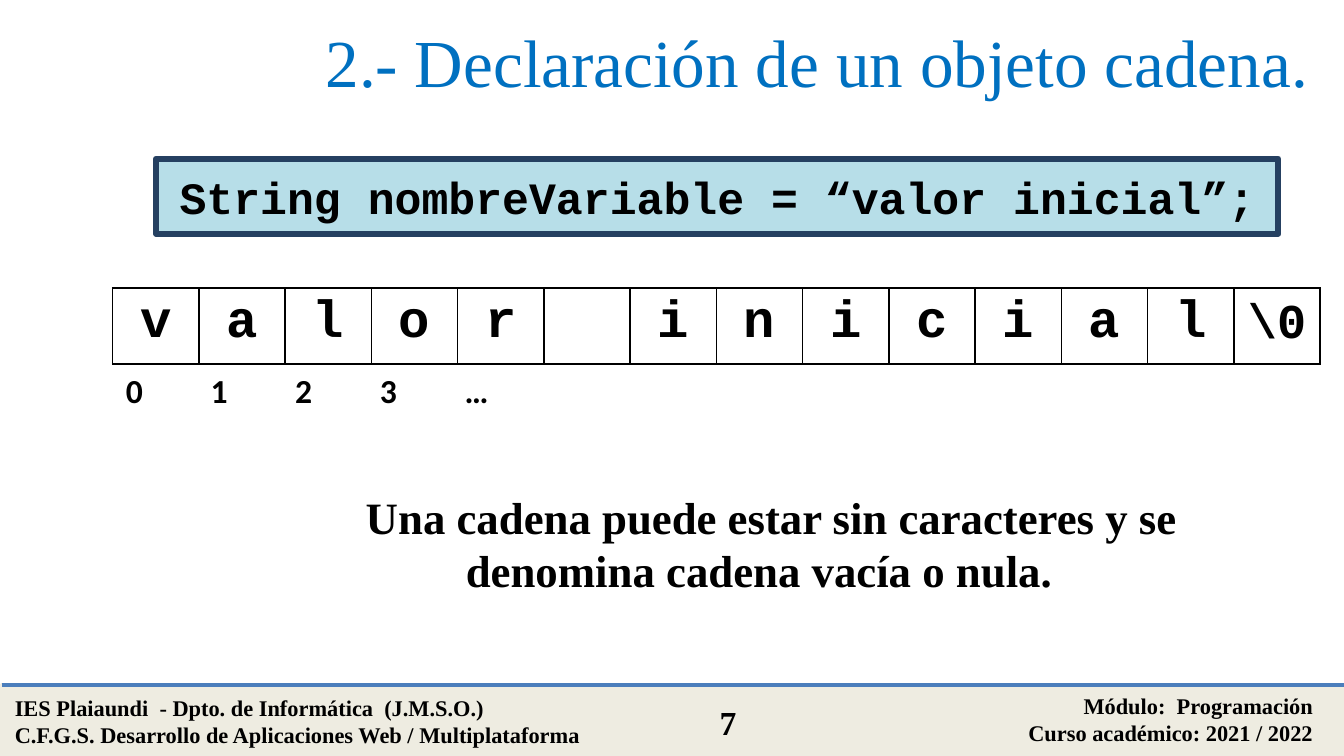
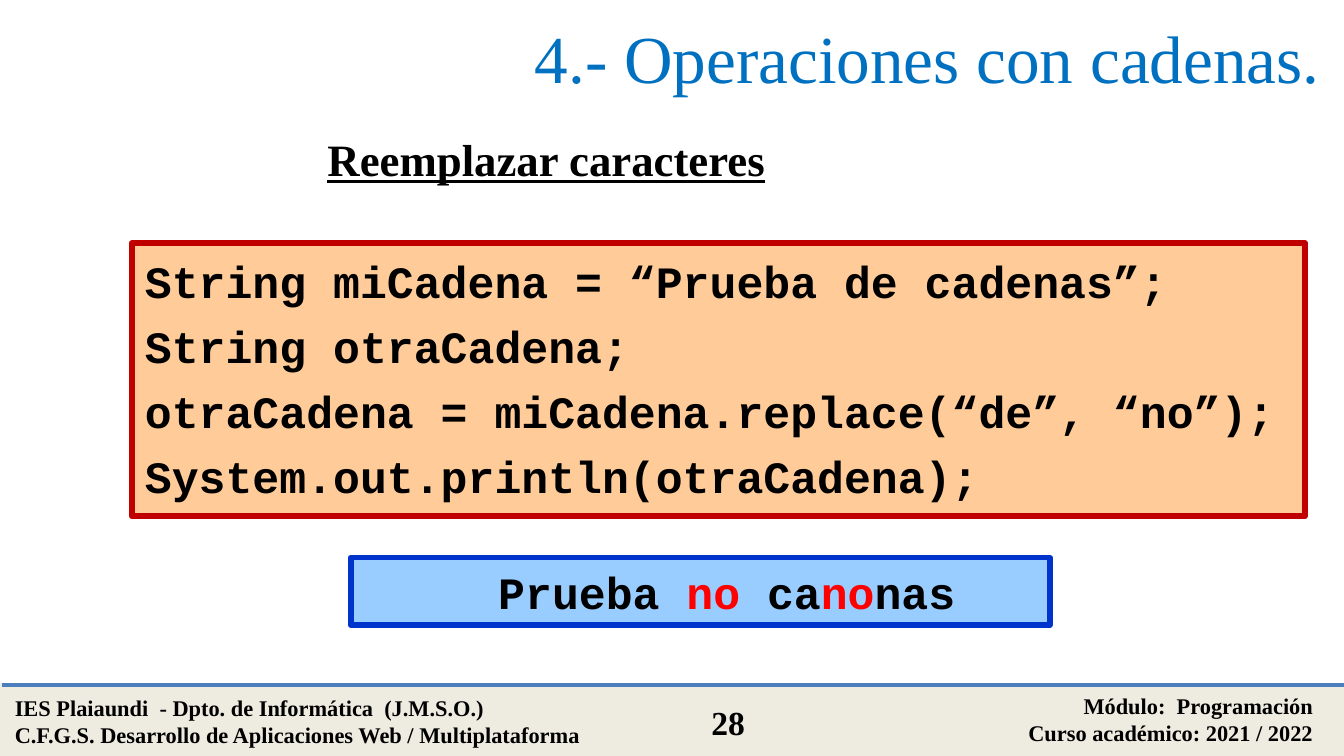
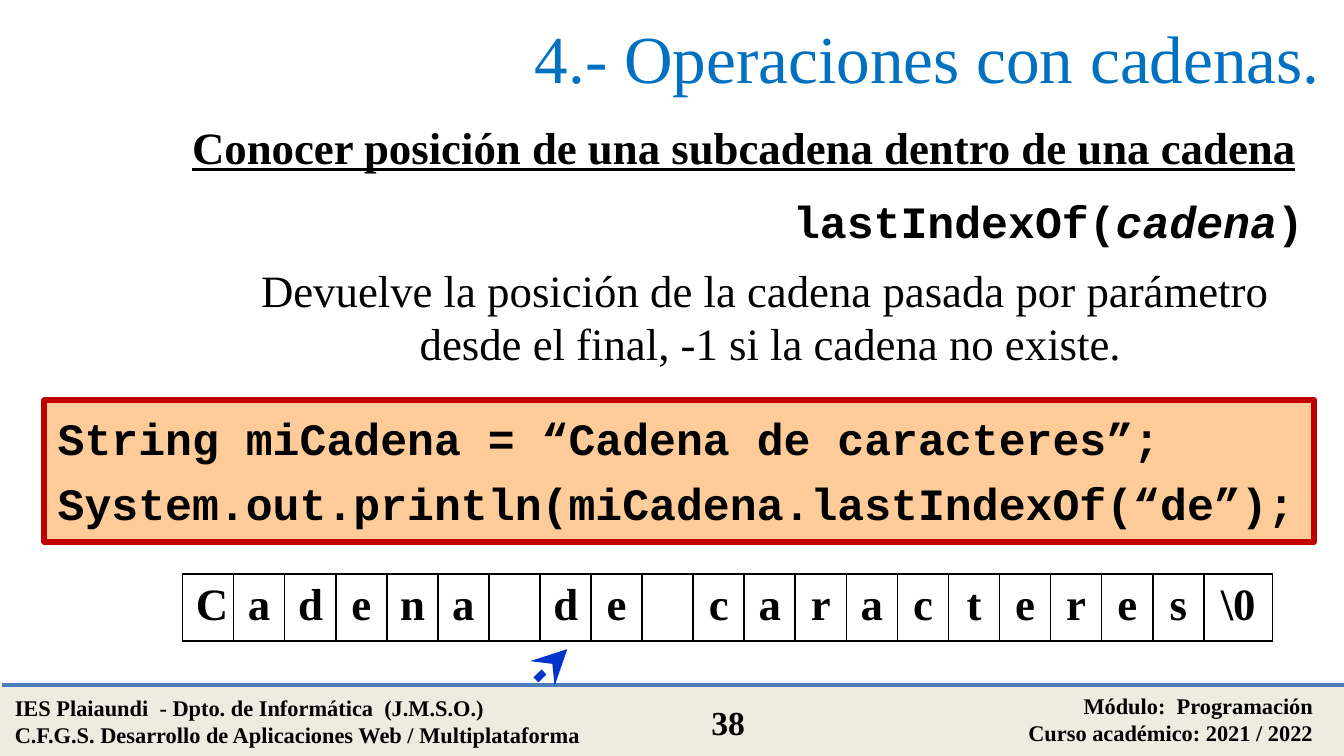
import lxml.etree
import pptx
import pptx.dml.color
import pptx.enum.dml
import pptx.enum.shapes
import pptx.enum.text
import pptx.oxml
import pptx.oxml.ns
import pptx.util

Cm = pptx.util.Cm
Pt = pptx.util.Pt
RGB = pptx.dml.color.RGBColor
ALIGN = pptx.enum.text.PP_ALIGN
ANCHOR = pptx.enum.text.MSO_ANCHOR
RECTANGLE = pptx.enum.shapes.MSO_SHAPE.RECTANGLE
STRAIGHT = pptx.enum.shapes.MSO_CONNECTOR.STRAIGHT

BLACK = RGB(0x00, 0x00, 0x00)
RED = RGB(0xFF, 0x00, 0x00)
TITLE_BLUE = RGB(0x00, 0x70, 0xC0)
BAND_FILL = RGB(0xEE, 0xEC, 0xE1)
BAND_RULE = RGB(0x4B, 0x7E, 0xBC)
ARROW_BLUE = RGB(0x00, 0x33, 0xCC)

# Box styles: fill, line colour, line width in points
SYNTAX_BOX = (RGB(0xB7, 0xDE, 0xE8), RGB(0x25, 0x40, 0x61), 3.25)
CODE_BOX = (RGB(0xFF, 0xCC, 0x99), RGB(0xC0, 0x00, 0x00), 3.25)
OUTPUT_BOX = (RGB(0x99, 0xCC, 0xFF), ARROW_BLUE, 3)

SERIF, MONO, SANS = "Times New Roman", "Courier New", "Calibri"
BODY = dict(size=24, face=SERIF)
HEADING = dict(size=24, face=SERIF, bold=True)
CODE = dict(size=24, face=MONO, bold=True)
FOOTER = dict(size=12, face=SERIF, bold=True)
PAGE = dict(size=18, face=SERIF, bold=True)
INDEX = dict(size=18, face=SANS, bold=True)
TITLE = dict(size=36, face=SERIF, color=TITLE_BLUE)

SLIDE_WIDTH, SLIDE_HEIGHT = 25.4, 14.29
BAND_LEFT, BAND_TOP = 0.03, 12.95

SCHOOL = [
    "IES Plaiaundi  - Dpto. de Informática  (J.M.S.O.)",
    "C.F.G.S. Desarrollo de Aplicaciones Web / Multiplataforma",
]
COURSE = ["Módulo:  Programación", "Curso académico: 2021 / 2022"]

DECLARATION_TITLE = "2.- Declaración de un objeto cadena. "
OPERATIONS_TITLE = "4.- Operaciones con cadenas."

DECLARATION = ["String nombreVariable = “valor inicial”;"]
INITIAL_VALUE = [*"valor inicial", "\\0"]
INDEXES = ["0", "1", "2", "3", "…"]
EMPTY_STRING = ["Una cadena puede estar sin caracteres y se denomina cadena vacía o nula. "]

REPLACE_CODE = [
    "String miCadena = “Prueba de cadenas”;",
    "String otraCadena;",
    "otraCadena = miCadena.replace(“de”, “no”);",
    "System.out.println(otraCadena);",
]
REPLACE_OUTPUT = [[
    ("Prueba ", {}), ("no ", dict(color=RED)), ("ca", {}),
    ("no", dict(color=RED)), ("nas", {}),
]]

SIGNATURE = [[("lastIndexOf(", {}), ("cadena", dict(italic=True)), (")", {})]]
LAST_INDEX = ["Devuelve la posición de la cadena pasada por parámetro  "
              "desde el final, -1 si la cadena no existe."]
LAST_INDEX_CODE = [
    "String miCadena = “Cadena de caracteres”;",
    "System.out.println(miCadena.lastIndexOf(“de”);",
]
SEARCHED = [*"Cadena de caracteres", "\\0"]


def add_run(paragraph, text, size, face, color=BLACK, bold=False,
            italic=False, underline=False):
    run = paragraph.add_run()
    run.text = text
    font = run.font
    font.size, font.name, font.color.rgb = Pt(size), face, color
    font.bold, font.italic, font.underline = bold, italic, underline


def write(frame, paragraphs, style, align=ALIGN.LEFT, anchor=ANCHOR.TOP,
          gap=0, indent=0, inset=0.13):
    """Fill a frame; a paragraph is a string or a list of (text, changes)."""
    frame.word_wrap = True
    frame.vertical_anchor = anchor
    frame.margin_left = frame.margin_right = Cm(0.25)
    frame.margin_top = frame.margin_bottom = Cm(inset)
    for number, runs in enumerate(paragraphs):
        paragraph = frame.add_paragraph() if number else frame.paragraphs[0]
        paragraph.alignment = align
        if number and gap:
            paragraph.space_before = Pt(gap)
        if indent:
            paragraph._p.get_or_add_pPr().set("indent", str(Cm(indent)))
        for text, changes in [(runs, {})] if isinstance(runs, str) else runs:
            add_run(paragraph, text, **{**style, **changes})


def add_text(shapes, place, paragraphs, style, **layout):
    box = shapes.add_textbox(*map(Cm, place))
    write(box.text_frame, paragraphs, style, **layout)


def add_box(shapes, place, look):
    fill, line, width = look
    box = shapes.add_shape(RECTANGLE, *map(Cm, place))
    box.shadow.inherit = False
    box.fill.solid()
    box.fill.fore_color.rgb = fill
    box.line.color.rgb = line
    box.line.width = Pt(width)
    return box


def add_code(slide, place, look, paragraphs, **layout):
    box = add_box(slide.shapes, place, look)
    write(box.text_frame, paragraphs, CODE, **layout)


def add_line(shapes, start, end, color, width):
    line = shapes.add_connector(STRAIGHT, *map(Cm, start + end))
    line.line.color.rgb = color
    line.line.width = Pt(width)
    lxml.etree.SubElement(line._element.spPr, pptx.oxml.ns.qn("a:effectLst"))
    return line


def add_arrow(slide, start, end):
    arrow = add_line(slide.shapes, start, end, ARROW_BLUE, 3.75)
    arrow.line.dash_style = pptx.enum.dml.MSO_LINE.SQUARE_DOT
    lxml.etree.SubElement(arrow.line._get_or_add_ln(), pptx.oxml.ns.qn("a:tailEnd"),
                          type="stealth", w="lg", len="lg")


def set_borders(cell):
    properties = cell._tc.get_or_add_tcPr()
    for number, side in enumerate(("lnL", "lnR", "lnT", "lnB")):
        properties.insert(number, pptx.oxml.parse_xml(
            f'<a:{side} {pptx.oxml.ns.nsdecls("a")} w="{Pt(1)}"><a:solidFill>'
            f'<a:srgbClr val="{BLACK}"/></a:solidFill></a:{side}>'))


def add_characters(slide, left, top, height, widths, characters, style, end_changes):
    """One-row table with a character per cell, closed by the end mark."""
    table = slide.shapes.add_table(
        1, len(characters), Cm(left), Cm(top), Cm(sum(widths)), Cm(height)).table
    table.first_row = table.horz_banding = False
    for column, width, character in zip(table.columns, widths, characters):
        column.width = Cm(width)
    for cell, character in zip(table.rows[0].cells, characters):
        cell.fill.background()
        set_borders(cell)
        paragraph = cell.text_frame.paragraphs[0]
        paragraph.alignment = ALIGN.CENTER
        if character == " ":
            paragraph.font.size = Pt(style["size"])
        else:
            changes = end_changes if character == "\\0" else {}
            add_run(paragraph, character, **{**style, **changes})
    return table


def add_footer(slide, page):
    shapes = slide.shapes.add_group_shape().shapes
    add_box(shapes, (BAND_LEFT, BAND_TOP, SLIDE_WIDTH, SLIDE_HEIGHT - BAND_TOP),
            (BAND_FILL, BAND_FILL, 2))
    add_line(shapes, (BAND_LEFT, BAND_TOP), (BAND_LEFT + SLIDE_WIDTH, BAND_TOP),
             BAND_RULE, 2)
    add_text(shapes, (BAND_LEFT, 13, 11.84, 1.28), SCHOOL, FOOTER)
    add_text(shapes, (14.91, BAND_TOP, 10.16, 1.28), COURSE, FOOTER, align=ALIGN.RIGHT)
    add_text(shapes, (12.73, 13.13, 2.06, 1.03), [str(page)], PAGE, align=ALIGN.CENTER)


def add_slide(deck, page, title, left=3.15, top=0):
    slide = deck.slides.add_slide(deck.slide_layouts[6])
    add_footer(slide, page)
    add_text(slide.shapes, (left, top, 22.05, 2.13), [title], TITLE,
             align=ALIGN.RIGHT, anchor=ANCHOR.MIDDLE)
    return slide


def build_declaration(deck):
    slide = add_slide(deck, 7, DECLARATION_TITLE, left=3.25, top=0.08)
    add_code(slide, (2.95, 3, 21.21, 1.42), SYNTAX_BOX, DECLARATION,
             align=ALIGN.CENTER, inset=0.2)
    left = 2.13
    table = add_characters(slide, left, 5.44, 1.44, [1.63] * len(INITIAL_VALUE),
                           INITIAL_VALUE, {**CODE, "size": 28}, dict(size=26))
    table.cell(0, len(INITIAL_VALUE) - 1).vertical_anchor = ANCHOR.MIDDLE
    for number, index in enumerate(INDEXES):
        width = 1.6 if index == "…" else 0.8
        add_text(slide.shapes, (left + 1.6 * number, 6.86, width, 1.03), [index], INDEX)
    add_text(slide.shapes, (5.05, 9.12, 18.8, 2.31), EMPTY_STRING, HEADING,
             align=ALIGN.CENTER, indent=0.25)


def build_replace(deck):
    slide = add_slide(deck, 28, OPERATIONS_TITLE)
    add_text(slide.shapes, (5.94, 2.36, 18.77, 1.28), ["Reemplazar caracteres"],
             {**HEADING, "underline": True}, align=ALIGN.JUSTIFY)
    add_code(slide, (2.49, 4.6, 22.17, 5.16), CODE_BOX, REPLACE_CODE, gap=6, inset=0.2)
    add_code(slide, (6.63, 10.54, 13.21, 1.28), OUTPUT_BOX, REPLACE_OUTPUT,
             align=ALIGN.CENTER, indent=1)


def build_last_index(deck):
    slide = add_slide(deck, 38, OPERATIONS_TITLE)
    add_text(slide.shapes, (3.38, 2.13, 21.49, 1.28),
             ["Conocer posición de una subcadena dentro de una cadena"],
             {**HEADING, "underline": True}, align=ALIGN.JUSTIFY)
    add_text(slide.shapes, (8.1, 3.53, 16.79, 1.28), SIGNATURE, CODE, align=ALIGN.RIGHT)
    add_text(slide.shapes, (4.22, 4.83, 20.68, 2.31), LAST_INDEX, BODY,
             align=ALIGN.CENTER)
    add_code(slide, (0.84, 7.57, 24, 2.67), CODE_BOX, LAST_INDEX_CODE, gap=6, inset=0.2)
    widths = [0.965] * (len(SEARCHED) - 1) + [1.3]
    add_characters(slide, 3.45, 10.85, 1.27, widths, SEARCHED, HEADING, {})
    add_arrow(slide, (10.13, 12.85), (10.72, 12.27))


def main():
    deck = pptx.Presentation()
    deck.slide_width, deck.slide_height = Cm(SLIDE_WIDTH), Cm(SLIDE_HEIGHT)
    build_declaration(deck)
    build_replace(deck)
    build_last_index(deck)
    deck.save("out.pptx")


if __name__ == "__main__":
    main()
